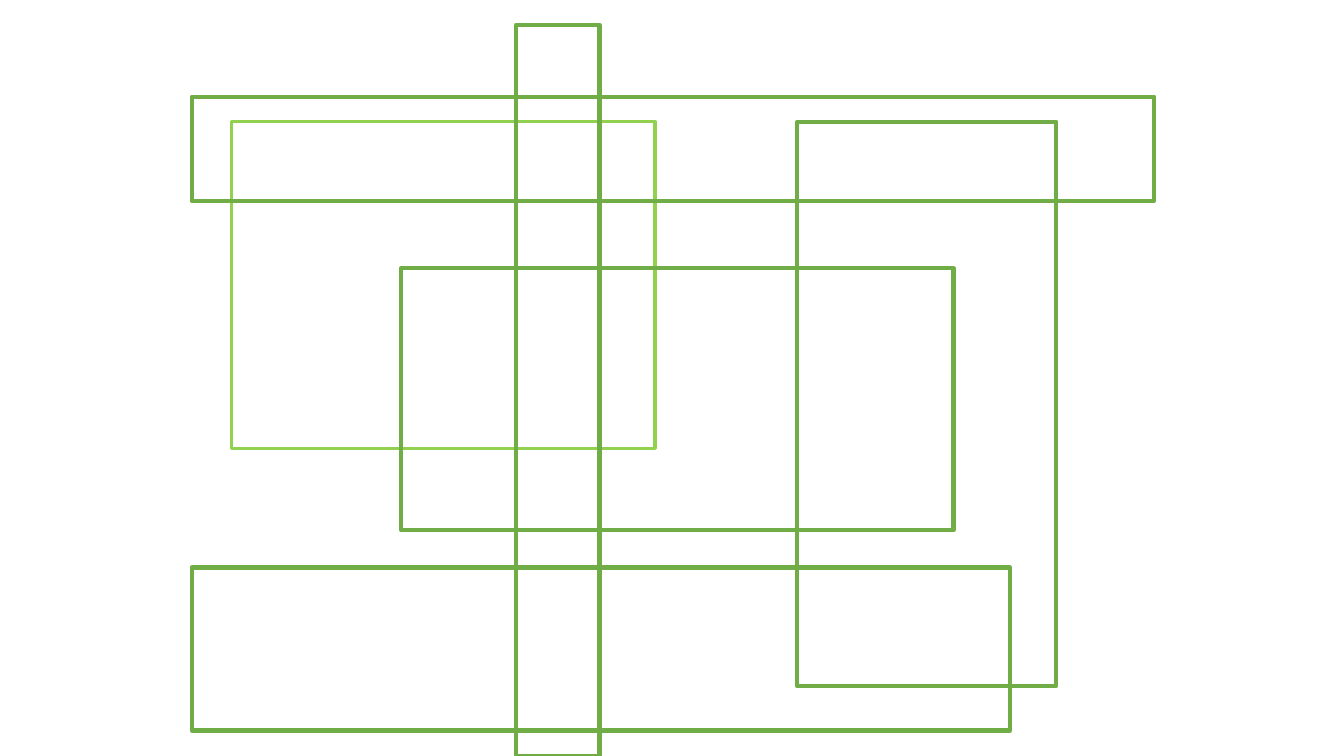
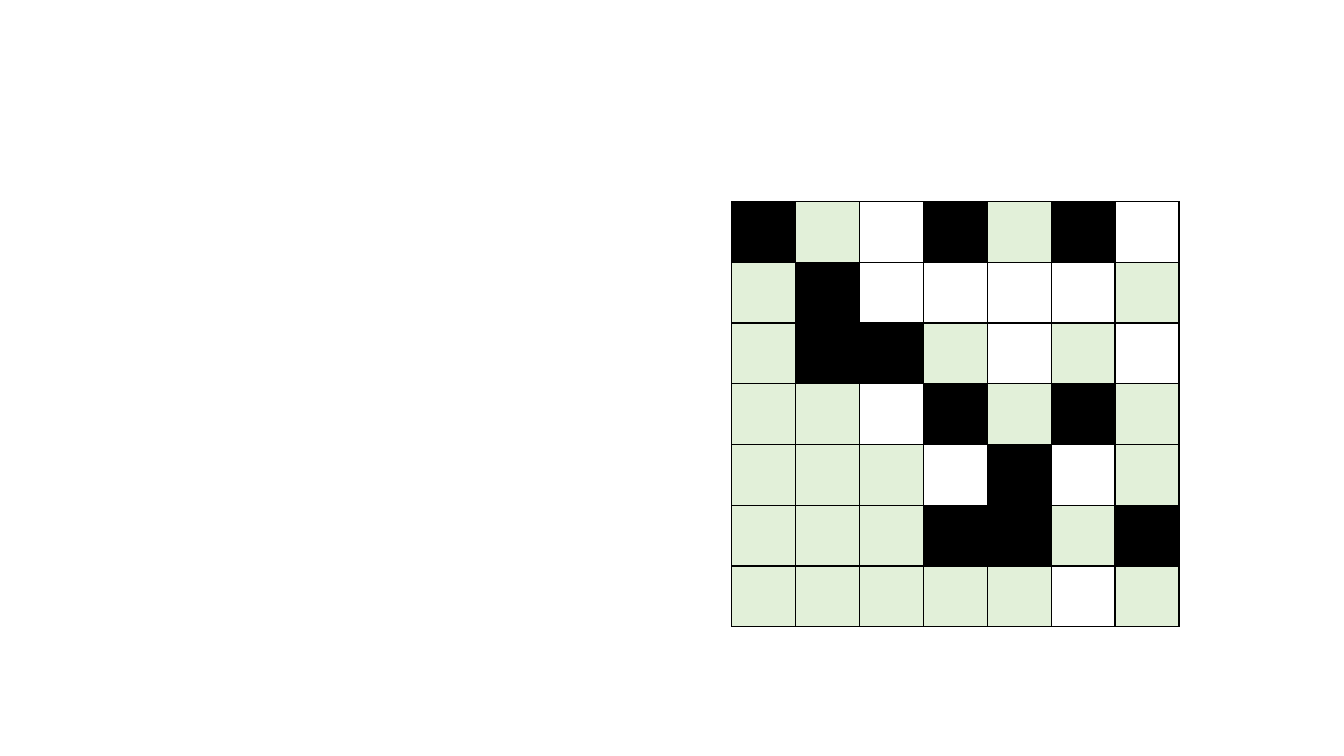
from typing import NamedTuple

from lxml.etree import SubElement
from pptx import Presentation
from pptx.dml.color import RGBColor
from pptx.enum.shapes import MSO_SHAPE
from pptx.oxml.ns import qn
from pptx.slide import Slide
from pptx.table import _Cell as Cell
from pptx.util import Cm, Pt

BLACK = RGBColor(0x00, 0x00, 0x00)
WHITE = RGBColor(0xFF, 0xFF, 0xFF)
GREEN = RGBColor(0x70, 0xAD, 0x47)
LIME = RGBColor(0x92, 0xD0, 0x50)
PALE_GREEN = RGBColor(0xE2, 0xF0, 0xD9)


class Frame(NamedTuple):
    """An outlined rectangle: lengths in centimetres, line width in points."""
    left: float
    top: float
    width: float
    height: float
    color: RGBColor = GREEN
    weight: float = 3


FRAMES = [
    Frame(5.84, 3.07, 10.67, 8.23, LIME, 2.25),
    Frame(10.11, 6.76, 13.92, 6.6),
    Frame(20.09, 3.07, 6.53, 14.22),
    Frame(4.83, 14.3, 20.62, 4.11),
    Frame(13, 0.63, 2.11, 18.42),
    Frame(4.83, 2.44, 24.26, 2.62),
]

CELL_FILLS = {"#": BLACK, "+": PALE_GREEN, ".": WHITE}
GRID = [
    "#+.#+#.",
    "+#....+",
    "+##+.+.",
    "++.#+#+",
    "+++.#.+",
    "+++##+#",
    "+++++.+",
]
GRID_LEFT, GRID_TOP = Cm(18.44), Cm(5.08)
CELL_WIDTH, CELL_HEIGHT = Cm(1.61), Cm(1.53)


def add_frame(s: Slide, frame: Frame) -> None:
    box = [Cm(v) for v in (frame.left, frame.top, frame.width, frame.height)]
    sp = s.shapes.add_shape(MSO_SHAPE.RECTANGLE, *box)
    sp.shadow.inherit = False
    sp.fill.background()
    sp.line.color.rgb = frame.color
    sp.line.width = Pt(frame.weight)


def set_borders(cell: Cell, color: RGBColor, weight: float) -> None:
    """Rule all four sides; call before filling, as the schema puts lines first."""
    tc_pr = cell._tc.get_or_add_tcPr()
    for side in ("a:lnL", "a:lnR", "a:lnT", "a:lnB"):
        ln = SubElement(tc_pr, qn(side), w=str(Pt(weight)))
        fill = SubElement(ln, qn("a:solidFill"))
        SubElement(fill, qn("a:srgbClr"), val=str(color))


def add_grid(s: Slide, rows: list[str]) -> None:
    n_rows, n_cols = len(rows), len(rows[0])
    table = s.shapes.add_table(n_rows, n_cols, GRID_LEFT, GRID_TOP,
                               n_cols * CELL_WIDTH, n_rows * CELL_HEIGHT).table
    table.first_row = table.horz_banding = False
    for column in table.columns:
        column.width = CELL_WIDTH
    for r, marks in enumerate(rows):
        table.rows[r].height = CELL_HEIGHT
        for c, mark in enumerate(marks):
            cell = table.cell(r, c)
            set_borders(cell, BLACK, 1)
            cell.fill.solid()
            cell.fill.fore_color.rgb = CELL_FILLS[mark]


def main() -> None:
    prs = Presentation()
    prs.slide_width, prs.slide_height = Cm(33.87), Cm(19.05)
    blank = prs.slide_layouts[6]

    frames_slide = prs.slides.add_slide(blank)
    for frame in FRAMES:
        add_frame(frames_slide, frame)

    add_grid(prs.slides.add_slide(blank), GRID)
    prs.save("out.pptx")


if __name__ == "__main__":
    main()
